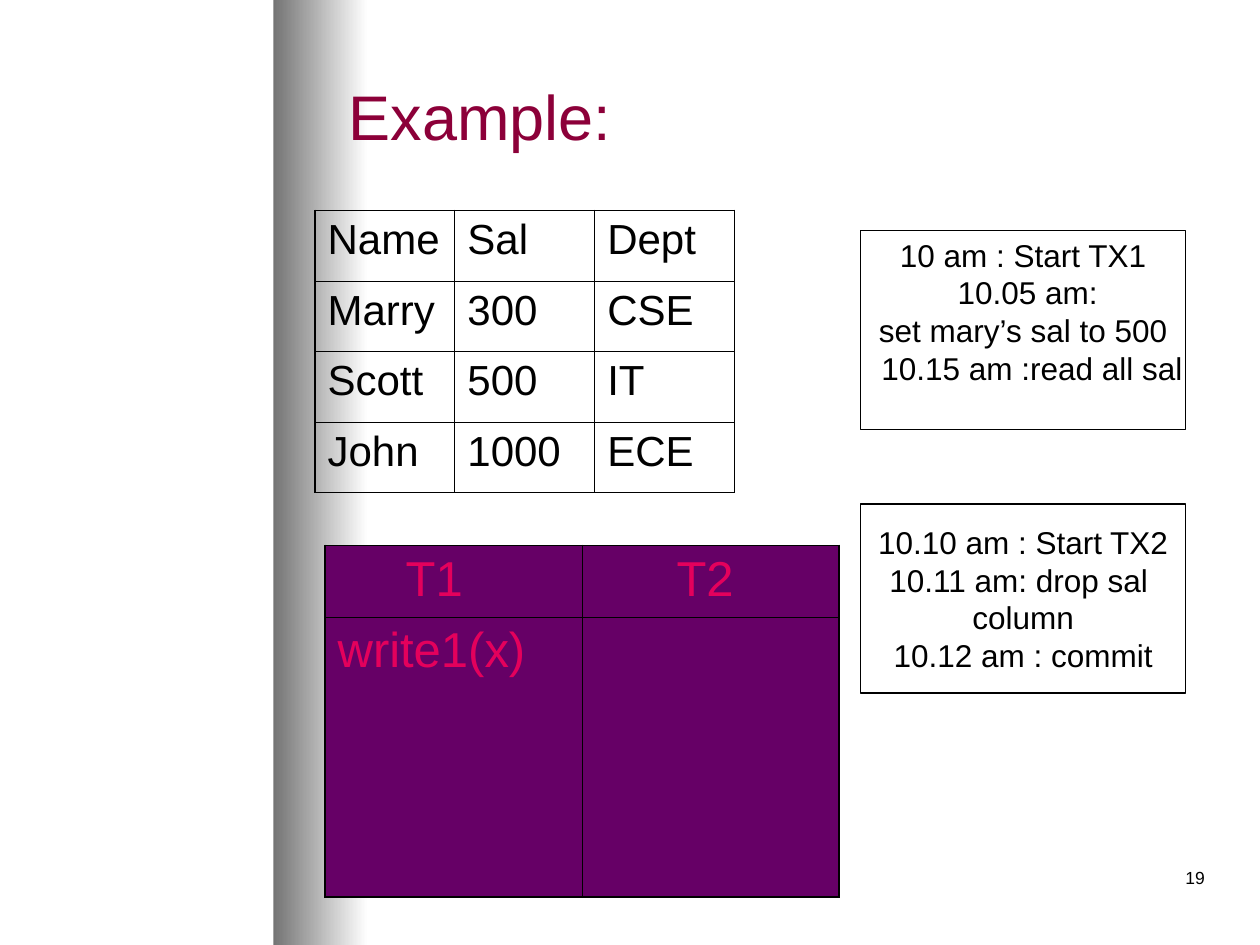
from pptx import Presentation
from pptx.dml.color import RGBColor
from pptx.enum.shapes import MSO_SHAPE
from pptx.enum.text import MSO_ANCHOR, PP_ALIGN
from pptx.oxml import parse_xml
from pptx.oxml.ns import nsdecls
from pptx.util import Inches, Pt

LEFT, CENTER, RIGHT = PP_ALIGN.LEFT, PP_ALIGN.CENTER, PP_ALIGN.RIGHT
TOP, MIDDLE = MSO_ANCHOR.TOP, MSO_ANCHOR.MIDDLE
RECTANGLE = MSO_SHAPE.RECTANGLE

BLACK, WHITE, GRAY = "000000", "FFFFFF", "747474"
MAROON, PURPLE, PINK = "8C0039", "660066", "E4005C"
OUTER, INNER = 1.08, 0.45

EMPLOYEES = [
    ["Name", "Sal", "Dept"],
    ["Marry", "300", "CSE"],
    ["Scott", "500", "IT"],
    ["John", "1000", "ECE"],
]
SCHEDULE = [["T1", "T2"], ["write1(x)", ""]]
TX1_STEPS = ["10 am : Start TX1", "10.05 am:", "set mary’s sal to 500", "10.15 am :read all sal"]
TX2_STEPS = ["10.10 am : Start TX2", "10.11 am: drop sal ", "column", "10.12 am : commit"]


def rgb(color):
    return RGBColor.from_string(color)


def write(tf, lines, size=18, color=BLACK, align=LEFT, indents=()):
    """Write one paragraph per line; indents maps by position to left margins in inches."""
    for i, line in enumerate(lines):
        p = tf.paragraphs[0] if i == 0 else tf.add_paragraph()
        p.alignment = align
        if i < len(indents) and indents[i]:
            p._p.get_or_add_pPr().set("marL", str(Inches(indents[i])))
        p.font.size = Pt(size)
        if line:
            r = p.add_run()
            r.text = line
            r.font.name = "Arial"
            r.font.size = Pt(size)
            r.font.color.rgb = rgb(color)


def add_text(s, x, y, w, h, text, anchor=TOP, **fmt):
    tf = s.shapes.add_textbox(Inches(x), Inches(y), Inches(w), Inches(h)).text_frame
    tf.word_wrap = True
    tf.vertical_anchor = anchor
    write(tf, [text], **fmt)


def add_rect(s, x, y, w, h):
    sp = s.shapes.add_shape(RECTANGLE, Inches(x), Inches(y), Inches(w), Inches(h))
    sp.shadow.inherit = False
    return sp


def add_side_band(s):
    sp = add_rect(s, 2.17, 0, 0.75, 7.5)
    sp.line.fill.background()
    sp.fill.gradient()
    sp.fill.gradient_angle = 0
    for stop, color in zip(sp.fill.gradient_stops, (GRAY, WHITE)):
        stop.color.rgb = rgb(color)


def add_steps(s, y, h, steps, indents=(), bottom=0.05):
    sp = add_rect(s, 6.83, y, 2.58, h)
    sp.fill.solid()
    sp.fill.fore_color.rgb = rgb(WHITE)
    sp.line.color.rgb = rgb(BLACK)
    sp.line.width = Pt(0.75)
    tf = sp.text_frame
    tf.word_wrap = False
    tf.vertical_anchor = MIDDLE
    tf.margin_bottom = Inches(bottom)
    write(tf, steps, align=CENTER, indents=indents)


def set_borders(cell, widths):
    """Put left, right, top and bottom lines ahead of the cell's fill."""
    tcPr = cell._tc.get_or_add_tcPr()
    for i, (side, width) in enumerate(zip("LRTB", widths)):
        tcPr.insert(i, parse_xml(
            f'<a:ln{side} {nsdecls("a")} w="{Pt(width)}"><a:solidFill>'
            f'<a:srgbClr val="{BLACK}"/></a:solidFill></a:ln{side}>'))


def add_grid(s, x, y, w, row_heights, rows, fill=None, indents=None, **fmt):
    """Add a table with equal columns, a heavy frame and thin inner lines."""
    n_rows, n_cols = len(rows), len(rows[0])
    table = s.shapes.add_table(n_rows, n_cols, Inches(x), Inches(y),
                               Inches(w), Inches(sum(row_heights))).table
    table.first_row = table.horz_banding = False
    for i, row in enumerate(rows):
        table.rows[i].height = Inches(row_heights[i])
        for j, text in enumerate(row):
            cell = table.cell(i, j)
            if fill:
                cell.fill.solid()
                cell.fill.fore_color.rgb = rgb(fill)
            else:
                cell.fill.background()
            edges = (j == 0, j == n_cols - 1, i == 0, i == n_rows - 1)
            set_borders(cell, [OUTER if edge else INNER for edge in edges])
            indent = indents[j] if indents and i == 0 else 0
            write(cell.text_frame, [text], indents=[indent], **fmt)


def main():
    prs = Presentation()
    prs.slide_width, prs.slide_height = Inches(10), Inches(7.5)
    s = prs.slides.add_slide(prs.slide_layouts[6])
    add_side_band(s)
    add_text(s, 7.58, 6.83, 2.08, 0.5, "19", size=10, align=RIGHT)
    add_text(s, 2.67, 0.25, 7, 1.33, "Example:", anchor=MIDDLE, size=36, color=MAROON)
    add_grid(s, 2.5, 1.67, 3.33, [0.56] * 4, EMPLOYEES, size=24)
    add_steps(s, 1.83, 1.58, TX1_STEPS, indents=(0, 0.07, 0, 0.14), bottom=0.35)
    add_steps(s, 4, 1.5, TX2_STEPS)
    add_grid(s, 2.58, 4.33, 4.08, [0.57, 2.22], SCHEDULE, fill=PURPLE,
             indents=(0.54, 0.65), size=28, color=PINK)
    prs.save("out.pptx")


if __name__ == "__main__":
    main()
